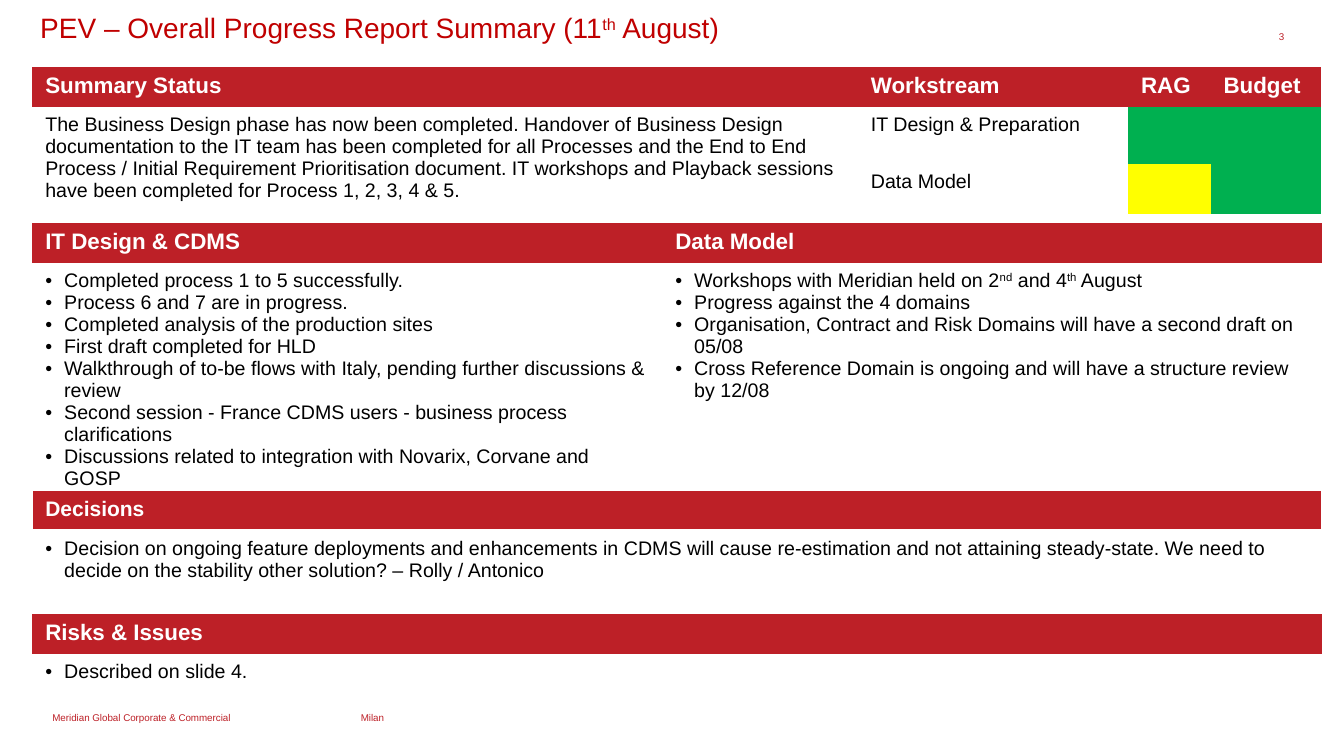
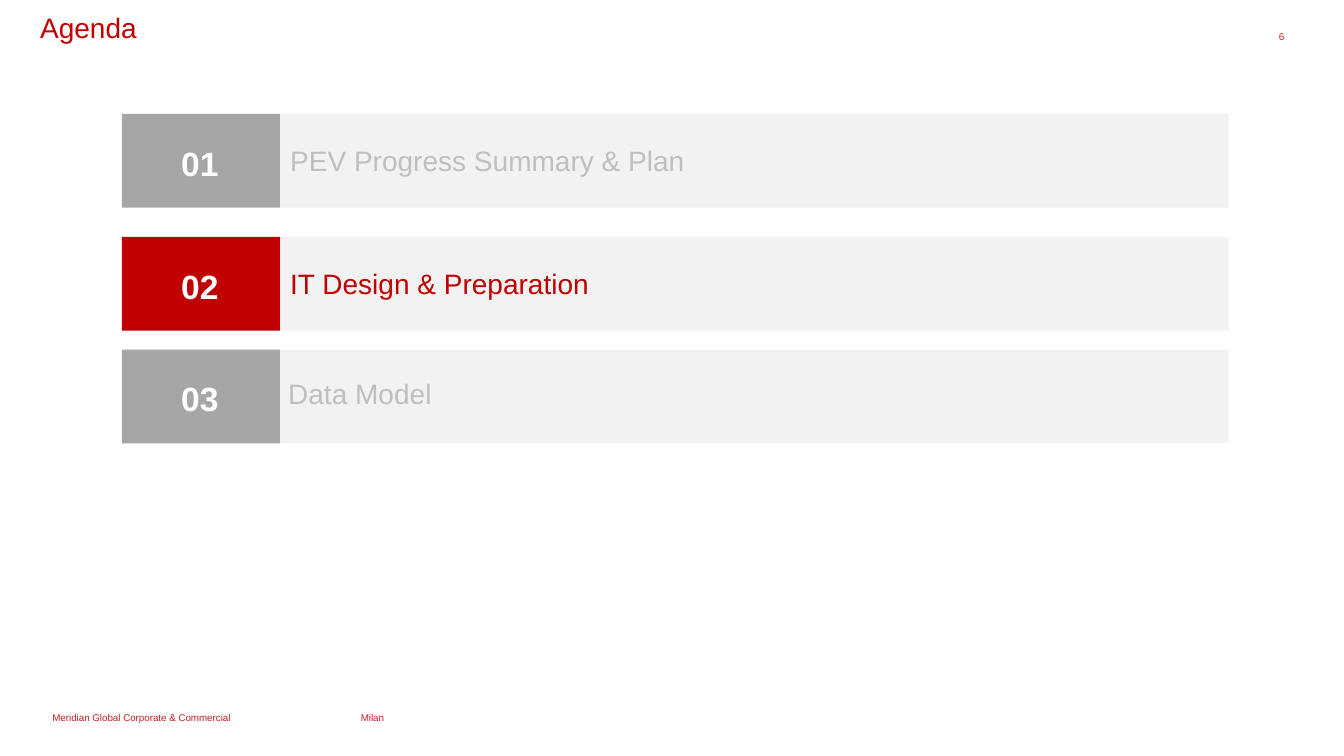
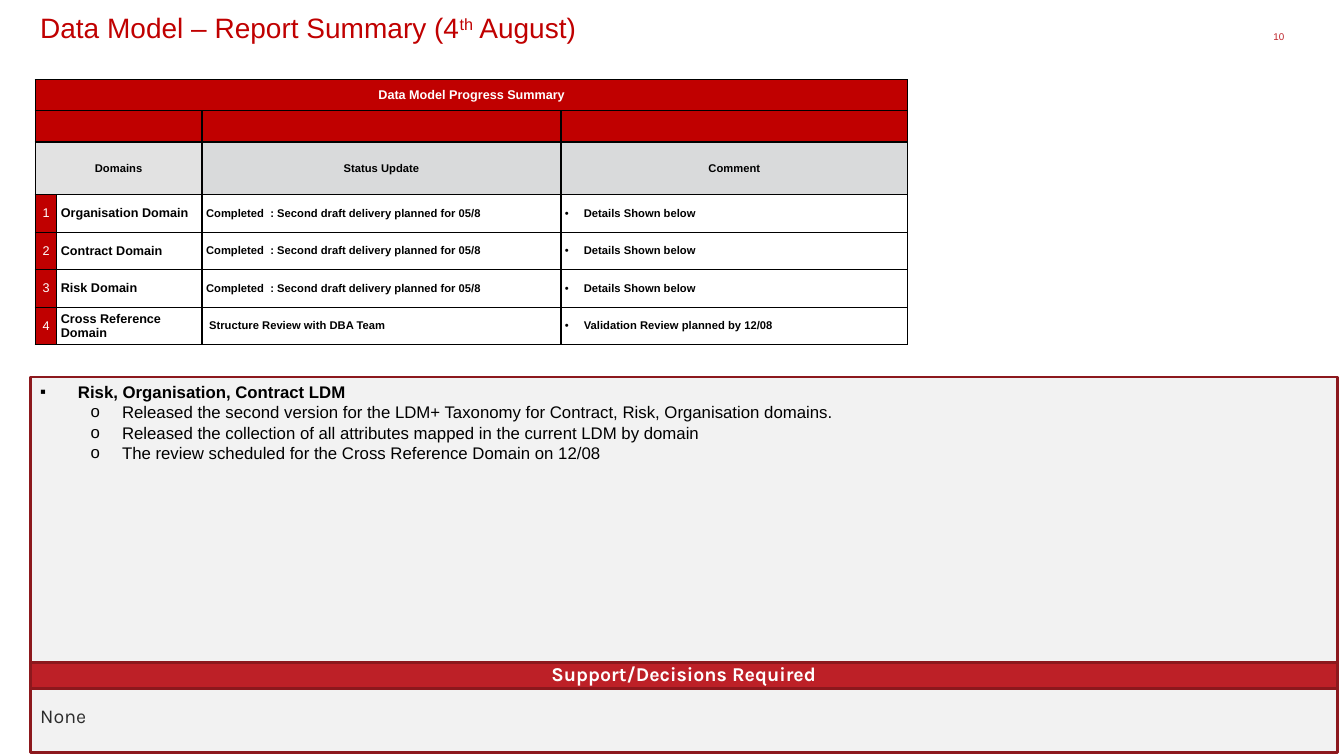
from lxml.etree import SubElement
from pptx import Presentation
from pptx.dml.color import RGBColor
from pptx.enum.shapes import MSO_SHAPE
from pptx.enum.text import MSO_ANCHOR, PP_ALIGN
from pptx.oxml.ns import qn
from pptx.util import Pt

COLORS = {
    "red": "C00000", "band": "BD2027", "dark_red": "8C181D",
    "white": "FFFFFF", "black": "000000", "ink": "2C2C2C",
    "green": "00B050", "yellow": "FFFF00",
    "panel": "F2F2F2", "grey": "A6A6A6", "faded": "BFBFBF",
    "domain_head": "E2E2E2", "column_head": "D9DADB",
}
NO_STYLE = "{2D5ABB26-0587-4C30-8999-92F81FD0307C}"
BOX_MARGINS = (7.2, 3.6, 7.2, 3.6)
REPORT_MARGINS = (9.4, 4.7, 9.4, 4.7)
NO_MARGINS = (0, 0, 0, 0)
SIDES = ("left", "top", "right", "bottom")

TITLE = dict(size=20, color="red")
SMALL = dict(size=7, color="band")
HEADING = dict(size=16, bold=True, color="white")
BODY = dict(size=14)
BULLET = dict(size=14, bullet="•", left=13.5, hang=13.5)
TABLE_LEFT, TABLE_WIDTH, HEADING_HEIGHT = 23, 921, 27.8
PANEL_LEFT, PANEL_WIDTH = 21.6, 933.8


def rgb(name):
    return RGBColor.from_string(COLORS[name])


def set_all(obj, values):
    for name, value in values.items():
        setattr(obj, name, value)


def set_margins(obj, margins):
    set_all(obj, {f"margin_{side}": Pt(m) for side, m in zip(SIDES, margins)})


def add_bullet(p, char, left, hang):
    pPr = p._p.get_or_add_pPr()
    pPr.set("marL", str(Pt(left)))
    pPr.set("indent", str(-Pt(hang)))
    if char:
        SubElement(pPr, qn("a:buFont")).set("typeface", "Arial")
        SubElement(pPr, qn("a:buChar")).set("char", char)


def write(tf, paragraphs, **common):
    """Fill a frame from strings or (string, format) pairs; ^x^ is superscript."""
    if isinstance(paragraphs, str):
        paragraphs = [paragraphs]
    for i, item in enumerate(paragraphs):
        text, own = (item, {}) if isinstance(item, str) else item
        fmt = {"font": "Arial", "color": "black", "bold": False, **common, **own}
        p = tf.add_paragraph() if i else tf.paragraphs[0]
        if "left" in fmt:
            add_bullet(p, fmt.get("bullet"), fmt["left"], fmt.get("hang", 0))
        set_all(p, {"alignment": fmt.get("align", PP_ALIGN.LEFT),
                    "line_spacing": fmt.get("spacing")})
        for j, part in enumerate(text.split("^")):
            r = p.add_run()
            r.text = part
            set_all(r.font, {"name": fmt["font"], "size": Pt(fmt["size"]),
                             "bold": fmt["bold"]})
            r.font.color.rgb = rgb(fmt["color"])
            if j % 2:
                r.font._element.set("baseline", "30000")


def add_text(s, box, text, margins=BOX_MARGINS, **fmt):
    tf = s.shapes.add_textbox(*map(Pt, box)).text_frame
    tf.word_wrap = True
    set_margins(tf, margins)
    write(tf, text, **fmt)


def add_panel(s, box, fill, paragraphs=None, line=None, margins=BOX_MARGINS, **fmt):
    sp = s.shapes.add_shape(MSO_SHAPE.RECTANGLE, *map(Pt, box))
    sp.shadow.inherit = False
    sp.fill.solid()
    sp.fill.fore_color.rgb = rgb(fill)
    if line:
        sp.line.color.rgb = rgb(line)
        sp.line.width = Pt(2)
    else:
        sp.line.fill.background()
    if paragraphs:
        tf = sp.text_frame
        set_all(tf, {"word_wrap": True, "vertical_anchor": MSO_ANCHOR.TOP})
        set_margins(tf, margins)
        write(tf, paragraphs, **fmt)


def add_grid(s, left, top, widths, heights):
    """Add a table without style or cell margins."""
    box = (left, top, sum(widths), sum(heights))
    tbl = s.shapes.add_table(len(heights), len(widths), *map(Pt, box)).table
    set_all(tbl, {"first_row": False, "horz_banding": False})
    tbl._tbl.tblPr.find(qn("a:tableStyleId")).text = NO_STYLE
    for col, width in zip(tbl.columns, widths):
        col.width = Pt(width)
    for row, height in zip(tbl.rows, heights):
        row.height = Pt(height)
    for cell in tbl.iter_cells():
        set_margins(cell, NO_MARGINS)
    return tbl


def add_borders(cell, color, widths=(1, 1, 1, 1)):
    tcPr = cell._tc.get_or_add_tcPr()
    for side, width in zip("LRTB", widths):
        ln = SubElement(tcPr, qn(f"a:ln{side}"), w=str(Pt(width)))
        fill = SubElement(ln, qn("a:solidFill"))
        SubElement(fill, qn("a:srgbClr")).set("val", COLORS[color])


def fill_cell(cell, text=None, fill=None, margins=NO_MARGINS,
              anchor=MSO_ANCHOR.TOP, **fmt):
    if fill:
        cell.fill.solid()
        cell.fill.fore_color.rgb = rgb(fill)
    else:
        cell.fill.background()
    if text:
        set_margins(cell, margins)
        cell.vertical_anchor = anchor
        write(cell.text_frame, text, **fmt)


def add_slide(prs, title, number, footer=True):
    s = prs.slides.add_slide(prs.slide_layouts[6])
    if footer:
        for left, width, text in ((37.4, 207.4, "Meridian Global Corporate & Commercial"),
                                  (257.7, 118, "Milan")):
            add_text(s, (left, 508.3, width, 8.6), text, NO_MARGINS, **SMALL)
    add_text(s, (21.6, 4.3, 933.8, 54.7), title, **TITLE)
    add_text(s, (896.4, 21.6, 20.9, 14.4), number, NO_MARGINS,
             align=PP_ALIGN.RIGHT, **SMALL)
    return s


def add_section(s, top, widths, body_height, headings, bodies,
                head_height=HEADING_HEIGHT, head_size=16):
    """Red headings, each over one cell of bullets."""
    tbl = add_grid(s, TABLE_LEFT, top, widths, (head_height, body_height))
    for col, (heading, bullets) in enumerate(zip(headings, bodies)):
        fill_cell(tbl.cell(0, col), heading, "band", REPORT_MARGINS,
                  **{**HEADING, "size": head_size})
        fill_cell(tbl.cell(1, col), bullets, None, REPORT_MARGINS, **BULLET)
    return tbl


def add_status(s):
    tbl = add_grid(s, TABLE_LEFT, 47.6, (589.7, 193, 59, 79.3),
                   (HEADING_HEIGHT, 40.8, 31.4))
    for col, heading in enumerate(("Summary Status", "Workstream", "RAG", "Budget")):
        fill_cell(tbl.cell(0, col), heading, "band", REPORT_MARGINS, **HEADING)
    tbl.cell(1, 0).merge(tbl.cell(2, 0))
    fill_cell(tbl.cell(1, 0),
              "The Business Design phase has now been completed. Handover of Business "
              "Design documentation to the IT team has been completed for all Processes "
              "and the End to End Process / Initial Requirement Prioritisation document. "
              "IT workshops and Playback sessions have been completed for Process "
              "1, 2, 3, 4 & 5.", None, REPORT_MARGINS, **BODY)
    workstreams = (("IT Design & Preparation", "green", "green"),
                   ("Data Model", "yellow", "green"))
    for row, (name, rag, budget) in enumerate(workstreams, 1):
        fill_cell(tbl.cell(row, 1), name, None, REPORT_MARGINS, **BODY)
        fill_cell(tbl.cell(row, 2), fill=rag)
        fill_cell(tbl.cell(row, 3), fill=budget)


def build_progress(prs):
    s = add_slide(prs, "PEV – Overall Progress Report Summary (11^th^ August)", "3")
    add_status(s)
    add_section(s, 438.5, (TABLE_WIDTH,), 27.6, ("Risks & Issues",),
                (["Described on slide 4."],))
    decisions = add_section(
        s, 350.6, (TABLE_WIDTH,), 59, ("Decisions",),
        (["Decision on ongoing feature deployments and enhancements in CDMS will cause "
          "re-estimation and not attaining steady-state. We need to decide on the "
          "stability other solution? – Rolly / Antonico"],),
        head_height=28.8, head_size=15)
    add_borders_first(decisions.cell(0, 0), "white", (1, 1, 1, 3))
    add_borders_first(decisions.cell(1, 0), "white")
    add_section(
        s, 159.3, (450, 471), 180, ("IT Design & CDMS", "Data Model"),
        (["Completed process 1 to 5 successfully.",
          "Process 6 and 7 are in progress.",
          "Completed analysis of the production sites",
          "First draft completed for HLD",
          "Walkthrough of to-be flows with Italy, pending further discussions & review",
          "Second session - France CDMS users - business process clarifications",
          "Discussions related to integration with Novarix, Corvane and GOSP"],
         ["Workshops with Meridian held on 2^nd^ and 4^th^ August",
          "Progress against the 4 domains",
          "Organisation, Contract and Risk Domains will have a second draft on 05/08",
          "Cross Reference Domain is ongoing and will have a structure review by 12/08"]))


def add_borders_first(cell, color, widths=(1, 1, 1, 1)):
    """Add borders to a filled cell; the schema wants the fill after them."""
    tcPr = cell._tc.get_or_add_tcPr()
    fills = list(tcPr)
    add_borders(cell, color, widths)
    for fill in fills:
        tcPr.append(fill)


def build_agenda(prs):
    s = add_slide(prs, "Agenda", "6")
    items = ((81.4, "PEV Progress Summary & Plan", "grey", "faded", 0, 0),
             (169.2, "IT Design & Preparation", "red", "red", 0, 0),
             (249.8, "Data Model", "grey", "faded", -1.4, -2.2))
    for i, (top, label, fill, color, dx, dy) in enumerate(items, 1):
        add_panel(s, (87, top, 113.2, 67), fill)
        add_panel(s, (200.2, top, 677.5, 67), "panel")
        add_text(s, (122.4, top + 20.2, 42, 26.6), f"{i:02}",
                 size=24, bold=True, color="white", spacing=0.9)
        add_text(s, (200.2 + dx, top + 20.2 + dy, 587.5, 26.6), label,
                 size=20, color=color, spacing=0.9)


def add_domains(s):
    tbl = add_grid(s, 25.2, 56.9, (15.4, 103.7, 256.4, 247.8),
                   (22.3, 22.3, 37.6) + (26.8,) * 4)
    for cell in tbl.iter_cells():
        add_borders(cell, "black")
    for row, last in ((0, 3), (1, 1), (2, 1)):
        tbl.cell(row, 0).merge(tbl.cell(row, last))
    middle = dict(anchor=MSO_ANCHOR.MIDDLE)
    centred = dict(align=PP_ALIGN.CENTER, **middle)
    fill_cell(tbl.cell(0, 0), "Data Model Progress Summary", "red",
              size=9, bold=True, color="white", **centred)
    for col, heading, fill in ((0, "Domains", "domain_head"),
                               (2, "Status Update", "column_head"),
                               (3, "Comment", "column_head")):
        fill_cell(tbl.cell(1, col), fill="red")
        fill_cell(tbl.cell(2, col), heading, fill, size=8, bold=True, **centred)

    draft, details = "Completed  : Second draft delivery planned for 05/8", "Details Shown below"
    domains = (("Organisation Domain", draft, details, 0),
               ("Contract Domain", draft, details, 0),
               ("Risk Domain", draft, details, 0),
               ("Cross Reference Domain", "Structure Review with DBA Team",
                "Validation Review planned by 12/08", 2.2))
    side = (2.9, 0, 2.9, 0)
    for i, (name, status, comment, left) in enumerate(domains, 1):
        row = i + 2
        fill_cell(tbl.cell(row, 0), str(i), "red", size=9, color="white", **centred)
        fill_cell(tbl.cell(row, 1), name, "white", side, size=9, bold=True, **middle)
        fill_cell(tbl.cell(row, 2), status, None, side, size=8, bold=True,
                  left=left, **middle)
        fill_cell(tbl.cell(row, 3), comment, None, side,
                  **{**BULLET, "size": 8, "bold": True}, **middle)


def build_data_model(prs):
    s = add_slide(prs, "Data Model – Report Summary (4^th^ August)", "10", footer=False)
    topic = dict(bold=True, bullet="▪", left=27, hang=27)
    add_panel(s, (PANEL_LEFT, 269.3, PANEL_WIDTH, 203.8), "panel",
              [("Risk, Organisation, Contract LDM", topic),
               "Released the second version for the LDM+ Taxonomy for Contract, Risk, "
               "Organisation domains.",
               "Released the collection of all attributes mapped in the current LDM by domain",
               "The review scheduled for the Cross Reference Domain on 12/08"],
              "dark_red", size=12, bullet="o", left=58.5, hang=22.5)
    add_panel(s, (PANEL_LEFT, 491, PANEL_WIDTH, 46.8), "panel", "None", "dark_red",
              size=14, font="Karla", color="ink", spacing=1.5)
    add_panel(s, (PANEL_LEFT, 473, PANEL_WIDTH, 18.7), "band",
              "Support/Decisions Required", "dark_red", (7.2, 0, 7.2, 3.6),
              size=14, font="Karla", bold=True, color="white", align=PP_ALIGN.CENTER)
    add_domains(s)


def main():
    prs = Presentation()
    set_all(prs, {"slide_width": Pt(960), "slide_height": Pt(540)})
    build_progress(prs)
    build_agenda(prs)
    build_data_model(prs)
    prs.save("out.pptx")


if __name__ == "__main__":
    main()
